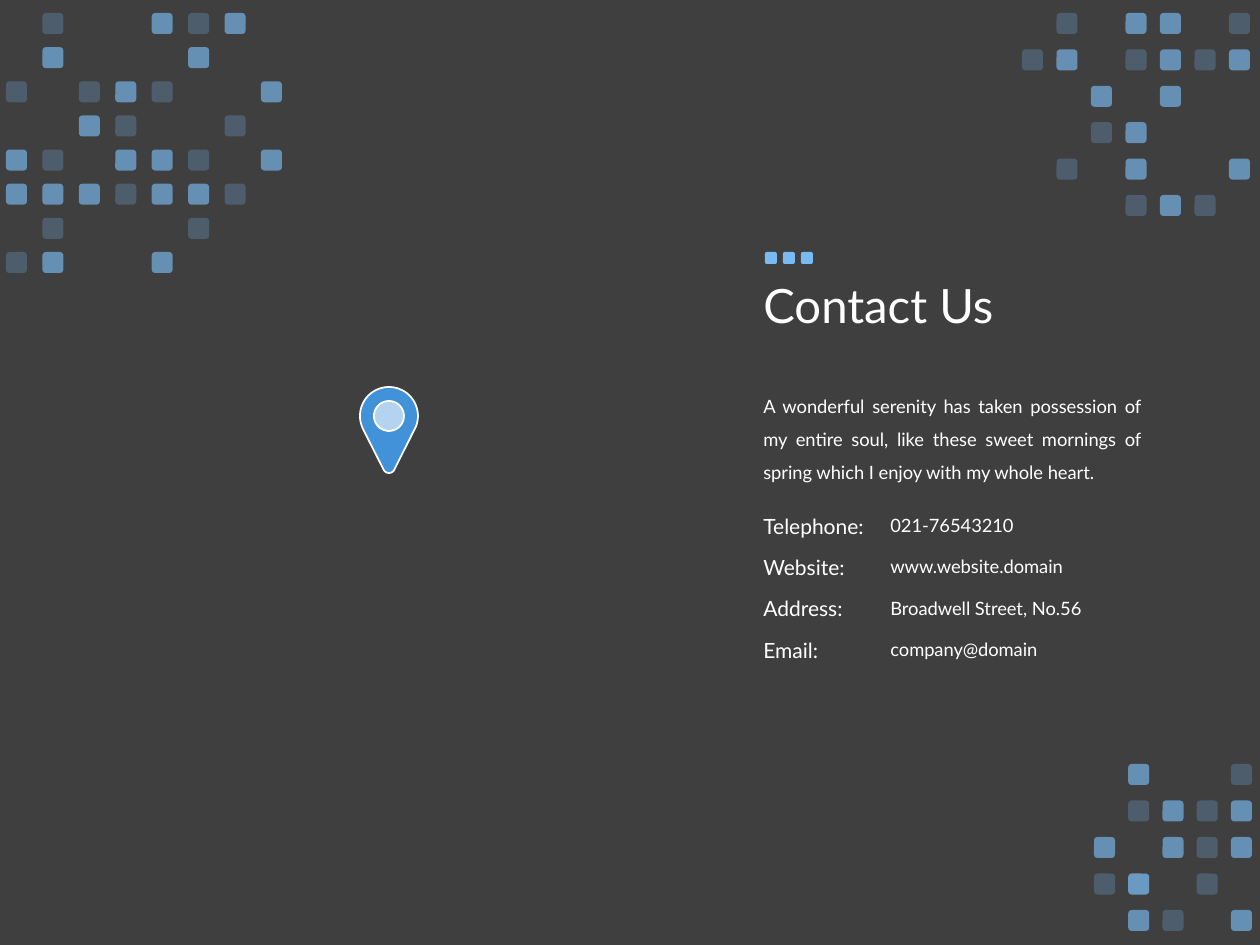
import math

from lxml import etree
from pptx import Presentation
from pptx import util as u
from pptx.dml.color import RGBColor
from pptx.enum import shapes, text
from pptx.oxml.ns import qn

PX = 914400 / 126
COLORS = {"background": "3F3F3F", "tile": "7ABAF2", "pin": "4192D9",
          "pin_center": "B3D3F0", "white": "FFFFFF"}
OPACITY = {"L": 65, "d": 25}


def add_preset(parent, kind, box, color, opacity=100):
    """Add an unoutlined preset shape; box is left, top, width, height in px."""
    shape = parent.add_shape(kind, *(u.Emu(round(v * PX)) for v in box))
    shape.shadow.inherit = False
    shape.fill.solid()
    shape.fill.fore_color.rgb = RGBColor.from_string(COLORS[color])
    shape.line.fill.background()
    if opacity < 100:
        rgb = shape._element.spPr.find(".//" + qn("a:srgbClr"))
        etree.SubElement(rgb, qn("a:alpha"), val=str(opacity * 1000))
    return shape


def add_text(words, box, size, wrap=True, anchor="TOP", **paragraph_format):
    """Add a one-paragraph text box; box is in px, size in points."""
    holder = slide.shapes.add_textbox(*(u.Emu(round(v * PX)) for v in box))
    frame = holder.text_frame
    frame.word_wrap = wrap
    frame.vertical_anchor = getattr(text.MSO_ANCHOR, anchor)
    paragraph = frame.paragraphs[0]
    for name, value in paragraph_format.items():
        setattr(paragraph, name, value)
    run = paragraph.add_run()
    run.text = words
    for name, value in {"name": "Lato", "size": u.Pt(size)}.items():
        setattr(run.font, name, value)
    run.font.color.rgb = RGBColor.from_string(COLORS["white"])


prs = Presentation()
prs.slide_width, prs.slide_height = u.Inches(10), u.Inches(7.5)
slide = prs.slides.add_slide(prs.slide_layouts[6])
slide.background.fill.solid()
slide.background.fill.fore_color.rgb = RGBColor.from_string(COLORS["background"])

# Corner mosaics: first and last column x, first and last row y, then the rows.
# L is a light tile, d a dim one, B a dim tile over a light one.
mosaics = [
    (6, 261, 13, 252, [".d..LdL.", ".L...L..", "d.dLd..L", "..Ld..d.",
                       "Ld.LLd.L", "LLLdLLd.", ".d...d..", "dL..L..."]),
    (1022, 1229, 13, 195, [".d.LL.d", "dL.dLdL", "..L.L..",
                           "..dL...", ".d.L..L", "...dLd."]),
    (1094, 1231, 764, 910, [".L..d", ".dLdL", "L.LdL", "dB.d.", ".Ld.L"]),
]
for left, right, top, bottom, rows in mosaics:
    mosaic = slide.shapes.add_group_shape().shapes
    column_step = (right - left) / (len(rows[0]) - 1)
    row_step = (bottom - top) / (len(rows) - 1)
    for r, row in enumerate(rows):
        for c, mark in enumerate(row):
            for tone in {".": "", "B": "Ld"}.get(mark, mark):
                add_preset(mosaic, shapes.MSO_SHAPE.ROUNDED_RECTANGLE,
                           (left + c * column_step, top + r * row_step, 21, 21),
                           "tile", OPACITY[tone])

# Heading and introduction
add_text("Contact Us", (751, 217, 509, 183), 27, anchor="MIDDLE", line_spacing=0.9)
add_text("A wonderful serenity has taken possession of my entire soul, like these "
         "sweet mornings of spring which I enjoy with my whole heart.",
         (751, 378, 403, 108), 10.5,
         alignment=text.PP_ALIGN.JUSTIFY, line_spacing=1.5)

accent = slide.shapes.add_group_shape().shapes
for i in range(3):
    add_preset(accent, shapes.MSO_SHAPE.ROUNDED_RECTANGLE,
               (765 + 18 * i, 252, 12, 12), "tile")

# Contact details
details = [
    ("Telephone:", "021-76543210"),
    ("Website:", "www.website.domain"),
    ("Address:", "Broadwell Street, No.56"),
    ("Email:", "company@domain"),
]
for i, (label, value) in enumerate(details):
    y = 507 + 124 * i / 3
    add_text(label, (751, y, 197, 38), 12)
    add_text(value, (878, y + 1, 243, 35), 10.5)

# Map pin: a large round head tapering to a small round tip, with a hole
pin_x, head_y, head_r, tip_y, tip_r, hole_r = 389, 416, 29, 467, 6, 15
tangent = round(math.degrees(math.asin((head_r - tip_r) / (tip_y - head_y))))
arcs = [
    [(head_y, head_r, 180 - tangent, 360 + tangent),
     (tip_y, tip_r, tangent, 180 - tangent)],
    [(head_y, hole_r, 360, 0)],
]
pin = slide.shapes.add_group_shape().shapes
center = add_preset(pin, shapes.MSO_SHAPE.OVAL, (373, 398, 33, 33), "pin_center")
contours = []
for parts in arcs:
    contours.append([
        (round((pin_x + radius * math.cos(math.radians(angle))) * PX),
         round((y + radius * math.sin(math.radians(angle))) * PX))
        for y, radius, start, end in parts
        for angle in range(start, end, 6 if end > start else -6)])
builder = pin.build_freeform(*contours[0][0])
builder.add_line_segments(contours[0][1:], close=True)
builder.move_to(*contours[1][0])
builder.add_line_segments(contours[1][1:], close=True)
body = builder.convert_to_shape()
body.shadow.inherit = False
body.fill.solid()
body.fill.fore_color.rgb = RGBColor.from_string(COLORS["pin"])
for part in (center, body):
    part.line.color.rgb = RGBColor.from_string(COLORS["white"])
    part.line.width = u.Pt(1)

prs.save("out.pptx")
